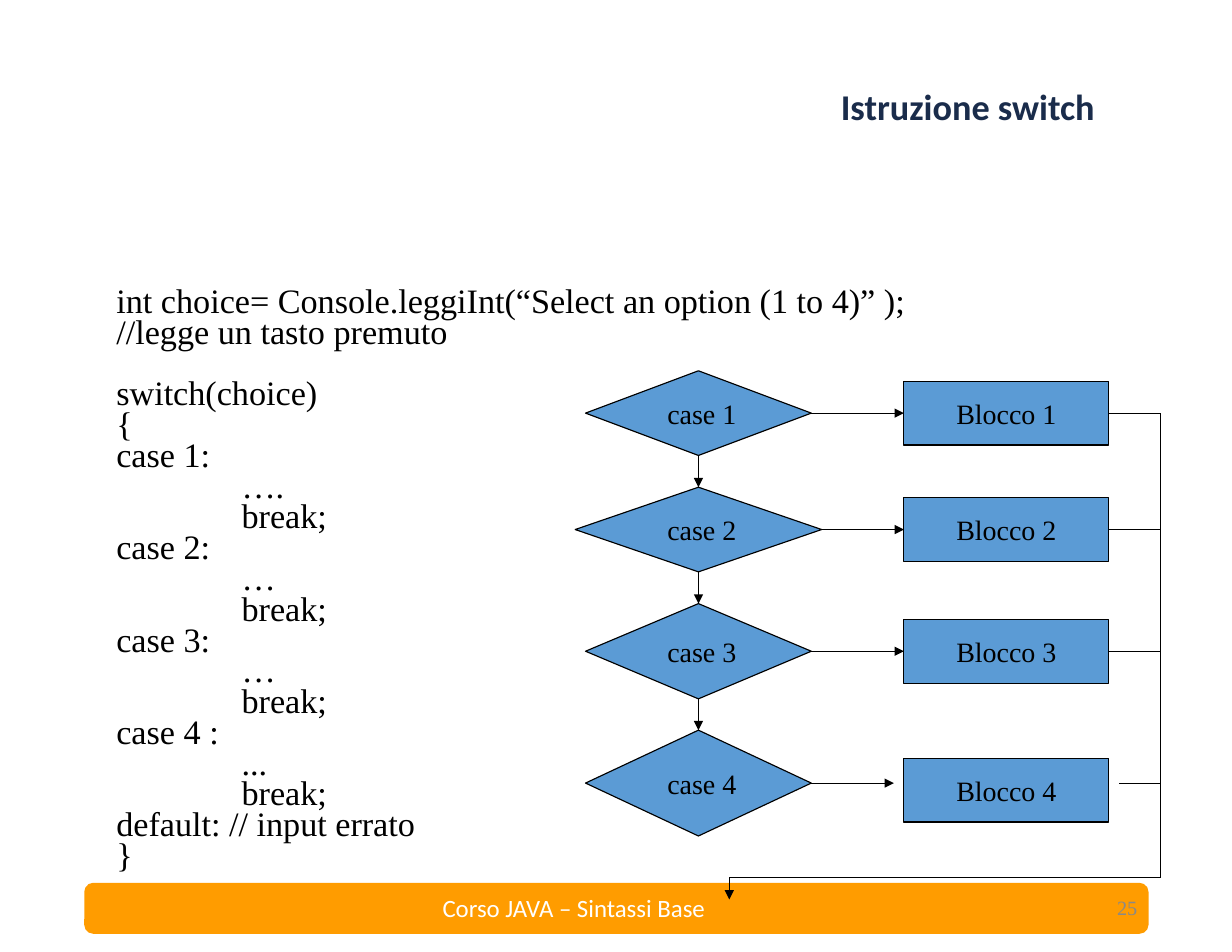
from dataclasses import dataclass
from itertools import pairwise

from lxml.etree import SubElement
from pptx import Presentation
from pptx.dml.color import RGBColor
from pptx.enum.shapes import MSO_CONNECTOR, MSO_SHAPE
from pptx.enum.text import MSO_ANCHOR, MSO_AUTO_SIZE, PP_ALIGN
from pptx.oxml.ns import qn
from pptx.util import Cm, Pt

ORANGE = RGBColor(0xFF, 0x9C, 0x00)
BLUE = RGBColor(0x5B, 0x9B, 0xD5)
NAVY = RGBColor(0x1A, 0x2C, 0x4B)
GREY = RGBColor(0x89, 0x89, 0x89)
BLACK = RGBColor(0, 0, 0)
WHITE = RGBColor(0xFF, 0xFF, 0xFF)
SERIF = "Times New Roman"
SANS = "Calibri"

AXIS = 15.84
BLOCK_LEFT, BLOCK_WIDE, BLOCK_HIGH = 20.5, 4.65, 1.45
TRUNK, BASE = 26.31, 19.91
EXIT, EXIT_END = 16.54, 20.4

CODE = """int choice= Console.leggiInt(“Select an option (1 to 4)” );
//legge un tasto premuto
switch(choice)
{
case 1:
\t….
\tbreak;
case 2:
\t…
\tbreak;
case 3:
\t…
\tbreak;
case 4 :
\t...
\tbreak;
default: // input errato
}"""


@dataclass
class Step:
    num: int
    mid: float
    wide: float
    high: float
    gap: float = 0
    drop: float = 0

    @property
    def top(self) -> float:
        return self.mid - self.high / 2

    @property
    def base(self) -> float:
        return self.mid + self.high / 2


STEPS = [
    Step(1, 9.37, 5.12, 1.92),
    Step(2, 12.01, 5.59, 1.92),
    Step(3, 14.77, 5.12, 2.16),
    Step(4, 17.76, 5.12, 2.4, gap=0.23, drop=0.16),
]


def style(par, face: str, size: float, color: RGBColor, bold: bool = False) -> None:
    for run in par.runs:
        run.font.name = face
        run.font.size = Pt(size)
        run.font.color.rgb = color
        run.font.bold = bold


def pad(frame) -> None:
    frame.margin_left = frame.margin_right = Cm(0.28)
    frame.margin_top = frame.margin_bottom = Cm(0.15)


def draw_shape(slide, kind, left: float, top: float, wide: float, high: float,
               fill: RGBColor, edge: RGBColor, weight: float):
    shape = slide.shapes.add_shape(kind, Cm(left), Cm(top), Cm(wide), Cm(high))
    shape.shadow.inherit = False
    shape.fill.solid()
    shape.fill.fore_color.rgb = fill
    shape.line.color.rgb = edge
    shape.line.width = Pt(weight)
    return shape


def draw_node(slide, kind, text: str, mid_x: float, mid_y: float,
              wide: float, high: float) -> None:
    node = draw_shape(slide, kind, mid_x - wide / 2, mid_y - high / 2,
                      wide, high, BLUE, BLACK, 0.75)
    frame = node.text_frame
    pad(frame)
    frame.word_wrap = False
    frame.vertical_anchor = MSO_ANCHOR.MIDDLE
    frame.text = text
    frame.paragraphs[0].alignment = PP_ALIGN.CENTER
    style(frame.paragraphs[0], SERIF, 18, BLACK)


def draw_line(slide, x1: float, y1: float, x2: float, y2: float,
              arrow: bool = False) -> None:
    line = slide.shapes.add_connector(
        MSO_CONNECTOR.STRAIGHT, Cm(x1), Cm(y1), Cm(x2), Cm(y2))
    line.line.color.rgb = BLACK
    line.line.width = Pt(0.75)
    if arrow:
        SubElement(line.line._get_or_add_ln(), qn("a:tailEnd"), type="triangle")
    SubElement(line._element.spPr, qn("a:effectLst"))


def draw_label(slide, text: str, left: float, top: float, wide: float,
               high: float, align, face: str, size: float,
               color: RGBColor) -> None:
    box = slide.shapes.add_textbox(Cm(left), Cm(top), Cm(wide), Cm(high))
    frame = box.text_frame
    frame.word_wrap = True
    frame.vertical_anchor = MSO_ANCHOR.MIDDLE
    frame.text = text
    frame.paragraphs[0].alignment = align
    style(frame.paragraphs[0], face, size, color)


def draw_title(slide) -> None:
    title = slide.shapes.title
    title.left, title.top = Cm(16.54), Cm(0.46)
    title.width, title.height = Cm(10.82), Cm(4.01)
    frame = title.text_frame
    frame.text = "Istruzione switch"
    frame.auto_size = MSO_AUTO_SIZE.NONE
    frame.vertical_anchor = MSO_ANCHOR.MIDDLE
    par = frame.paragraphs[0]
    par.alignment = PP_ALIGN.CENTER
    par.line_spacing = 0.9
    style(par, SANS, 23.3, NAVY, bold=True)


def draw_code(slide) -> None:
    box = slide.shapes.add_textbox(Cm(2.36), Cm(6.4), Cm(21.18), Cm(13.51))
    frame = box.text_frame
    frame.word_wrap = True
    pad(frame)
    frame.text = CODE
    for par in frame.paragraphs:
        tabs = SubElement(par._p.get_or_add_pPr(), qn("a:tabLst"))
        SubElement(tabs, qn("a:tab"), pos=str(Cm(2.84)), algn="l")
        par.line_spacing = 0.75
        if par.text.startswith("switch"):
            par.space_before = Pt(19.8)
        style(par, SERIF, 22, BLACK)


def draw_flow(slide) -> None:
    for step in STEPS:
        draw_node(slide, MSO_SHAPE.DIAMOND, f" case {step.num}",
                  AXIS, step.mid, step.wide, step.high)
        draw_node(slide, MSO_SHAPE.RECTANGLE, f"Blocco {step.num}",
                  BLOCK_LEFT + BLOCK_WIDE / 2, step.mid + step.drop,
                  BLOCK_WIDE, BLOCK_HIGH)
        draw_line(slide, AXIS + step.wide / 2, step.mid,
                  BLOCK_LEFT - step.gap, step.mid, arrow=True)
        draw_line(slide, BLOCK_LEFT + BLOCK_WIDE + step.gap, step.mid,
                  TRUNK, step.mid)
    for step, after in pairwise(STEPS):
        draw_line(slide, AXIS, step.base, AXIS, after.top, arrow=True)
    draw_line(slide, TRUNK, STEPS[0].mid, TRUNK, BASE)
    draw_line(slide, TRUNK, BASE, EXIT, BASE)
    draw_line(slide, EXIT, BASE, EXIT, EXIT_END, arrow=True)


def main() -> None:
    deck = Presentation()
    deck.slide_width, deck.slide_height = Cm(27.94), Cm(21.59)
    slide = deck.slides.add_slide(deck.slide_layouts[5])
    draw_shape(slide, MSO_SHAPE.ROUNDED_RECTANGLE, 1.93, 20.04, 24.1, 1.12,
               ORANGE, ORANGE, 1)
    draw_title(slide)
    draw_label(slide, "25", 19.74, 20.02, 6.3, 1.14,
               PP_ALIGN.RIGHT, SERIF, 13, GREY)
    draw_code(slide)
    draw_flow(slide)
    draw_label(slide, "Corso JAVA – Sintassi Base", 6.07, 20.09, 13.89, 0.97,
               PP_ALIGN.CENTER, SANS, 16, WHITE)
    deck.save("out.pptx")


if __name__ == "__main__":
    main()
